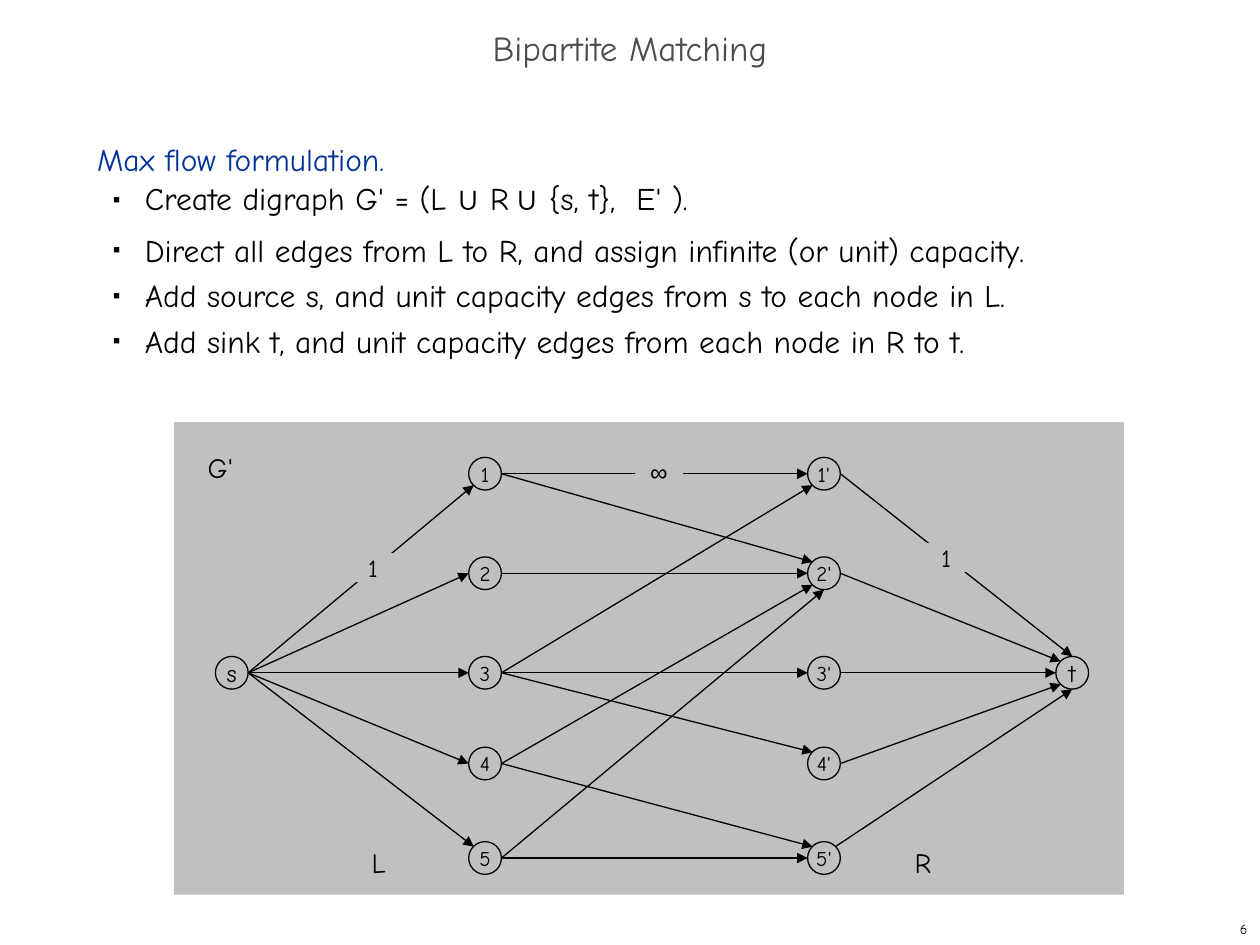
from lxml import etree
from pptx import Presentation
from pptx.dml.color import RGBColor
from pptx.enum.shapes import MSO_CONNECTOR, MSO_SHAPE
from pptx.enum.text import MSO_ANCHOR, MSO_AUTO_SIZE, PP_ALIGN
from pptx.oxml.ns import qn
from pptx.util import Inches, Pt

CENTER, LEFT, RIGHT = PP_ALIGN.CENTER, PP_ALIGN.LEFT, PP_ALIGN.RIGHT
TOP, MIDDLE = MSO_ANCHOR.TOP, MSO_ANCHOR.MIDDLE
NO_AUTOFIT = MSO_AUTO_SIZE.NONE
OVAL, RECTANGLE = MSO_SHAPE.OVAL, MSO_SHAPE.RECTANGLE
STRAIGHT = MSO_CONNECTOR.STRAIGHT

THEME = {
    "font": "Comic Neue", "symbol_font": "Arial",
    "title": "4D4D4D", "heading": "003399", "ink": "000000", "panel": "C0C0C0",
    "title_size": 20, "body_size": 18, "subscript_size": 20, "side_size": 16,
    "terminal_size": 14, "node_size": 12, "number_size": 8, "line_width": 0.75,
}

TITLE = "Bipartite Matching"
HEADING = "Max flow formulation."
# Each bullet is a list of (text, style) runs.
BULLETS = [
    [("Create digraph G' = (L ", "plain"), ("∪", "symbol"), (" R", "plain"),
     (" ", "subscript"), ("∪", "symbol"), (" {s, t},  E' ).", "plain")],
    [("Direct all edges from L to R, and assign infinite (or unit) capacity.", "plain")],
    [("Add source s, and unit capacity edges from s to each node in L.", "plain")],
    [("Add sink t, and unit capacity edges from each node in R to t.", "plain")],
]
PAGE_NUMBER = "6"

PANEL = (1.38, 3.35, 7.54, 3.75)
ROWS = [3.76, 4.55, 5.34, 6.06, 6.81]
SOURCE_X, LEFT_X, RIGHT_X, SINK_X = 1.84, 3.85, 6.54, 8.51
RADIUS, DIAGONAL = 0.13, 0.09

NODES = {"s": (SOURCE_X, ROWS[2]), "t": (SINK_X, ROWS[2])}
for row, row_y in enumerate(ROWS, start=1):
    NODES[f"{row}"] = (LEFT_X, row_y)
    NODES[f"{row}'"] = (RIGHT_X, row_y)

# Places on a node's rim, as offsets from its centre.
RIM = {
    "left": (-RADIUS, 0), "right": (RADIUS, 0),
    "top": (0, -RADIUS), "bottom": (0, RADIUS),
    "top left": (-DIAGONAL, -DIAGONAL), "bottom left": (-DIAGONAL, DIAGONAL),
    "top right": (DIAGONAL, -DIAGONAL),
}
# Tail node, head node, rim place at the head, rim place at the tail.
EDGES = [
    ("s", "1", "bottom left", "right"), ("s", "2", "left", "right"),
    ("s", "3", "left", "right"), ("s", "4", "left", "right"),
    ("s", "5", "top left", "right"),
    ("1", "1'", "left", "right"), ("1", "2'", "top left", "right"),
    ("2", "2'", "left", "right"),
    ("3", "1'", "bottom left", "right"), ("3", "3'", "left", "right"),
    ("3", "4'", "top left", "right"),
    ("4", "2'", "bottom left", "right"), ("4", "5'", "top left", "right"),
    ("5", "2'", "bottom", "right"), ("5", "5'", "left", "right"),
    ("1'", "t", "top", "right"), ("2'", "t", "top left", "right"),
    ("3'", "t", "left", "right"), ("4'", "t", "bottom left", "right"),
    ("5'", "t", "bottom", "top right"),
]
CAPACITIES = [("1", 2.77, 4.39, "font"), ("1", 7.32, 4.31, "font"),
              ("∞", 5.04, 3.63, "symbol_font")]
SIDE_LABELS = [("R", 7.16, 6.66), ("L", 2.85, 6.66), ("G'", 1.55, 3.53)]


def color(name):
    return RGBColor.from_string(THEME[name])


def add_run(para, text, size, ink="ink", font="font"):
    span = para.add_run()
    span.text = text
    span.font.size = Pt(THEME[size])
    span.font.name = THEME[font]
    span.font.color.rgb = color(ink)
    return span


def set_frame(box, anchor=TOP, wrap=True, inset=(0.1, 0.05)):
    frame = box.text_frame
    frame.auto_size = NO_AUTOFIT
    frame.word_wrap = wrap
    frame.vertical_anchor = anchor
    frame.margin_left = frame.margin_right = Inches(inset[0])
    frame.margin_top = frame.margin_bottom = Inches(inset[1])
    return frame


def place(box, left, top, width, height):
    box.left, box.top = Inches(left), Inches(top)
    box.width, box.height = Inches(width), Inches(height)


def add_panel_shape(page, kind, bounds, outlined=False):
    shape = page.shapes.add_shape(kind, *map(Inches, bounds))
    shape.shadow.inherit = False
    shape.fill.solid()
    shape.fill.fore_color.rgb = color("panel")
    if outlined:
        shape.line.color.rgb = color("ink")
        shape.line.width = Pt(THEME["line_width"])
    else:
        shape.line.fill.background()
    return shape


def set_bullet(para):
    properties = para._p.get_or_add_pPr()
    properties.set("marL", str(Inches(0.38)))
    properties.set("indent", str(Inches(-0.25)))
    bullet_color = etree.SubElement(properties, qn("a:buClr"))
    etree.SubElement(bullet_color, qn("a:srgbClr"), val=THEME["ink"])
    etree.SubElement(properties, qn("a:buSzPct"), val="35000")
    etree.SubElement(properties, qn("a:buFont"), typeface=THEME["symbol_font"])
    etree.SubElement(properties, qn("a:buChar"), char="■")


def add_title(page):
    box = page.shapes.title
    place(box, 0, 0.17, 10, 0.5)
    para = set_frame(box, MIDDLE).paragraphs[0]
    para.alignment = CENTER
    para.line_spacing = 0.7
    add_run(para, TITLE, "title_size", "title")


def add_body(page):
    box = page.placeholders[1]
    place(box, 0.67, 1, 8.58, 5.92)
    frame = set_frame(box)
    heading = frame.paragraphs[0]
    properties = heading._p.get_or_add_pPr()
    properties.set("marL", "0")
    properties.set("indent", "0")
    etree.SubElement(properties, qn("a:buNone"))
    add_run(heading, HEADING, "body_size", "heading")
    for bullet in BULLETS:
        para = frame.add_paragraph()
        para.level = 1
        set_bullet(para)
        for text, style in bullet:
            size = "subscript_size" if style == "subscript" else "body_size"
            font = "symbol_font" if style == "symbol" else "font"
            span = add_run(para, text, size, font=font)
            if style == "subscript":
                span._r.get_or_add_rPr().set("baseline", "-25000")
    for para in frame.paragraphs:
        para.line_spacing = Pt(26)
        para.space_before = Pt(0)


def add_node(page, name, x, y):
    bounds = (x - RADIUS, y - RADIUS, 2 * RADIUS, 2 * RADIUS)
    shape = add_panel_shape(page, OVAL, bounds, outlined=True)
    para = set_frame(shape, MIDDLE, wrap=False).paragraphs[0]
    para.alignment = CENTER
    add_run(para, name, "terminal_size" if name in "st" else "node_size")


def add_edge(page, tail, head, head_place, tail_place):
    ends = [Inches(center + offset)
            for node, rim_place in ((tail, tail_place), (head, head_place))
            for center, offset in zip(NODES[node], RIM[rim_place])]
    edge = page.shapes.add_connector(STRAIGHT, *ends)
    edge.line.color.rgb = color("ink")
    edge.line.width = Pt(THEME["line_width"])
    etree.SubElement(edge.line._get_or_add_ln(), qn("a:tailEnd"), type="triangle")
    etree.SubElement(edge._element.spPr, qn("a:effectLst"))


def add_label(page, text, bounds, size, align=LEFT, anchor=TOP):
    box = page.shapes.add_textbox(*map(Inches, bounds))
    para = set_frame(box, anchor).paragraphs[0]
    para.alignment = align
    add_run(para, text, size)


def main():
    deck = Presentation()
    deck.slide_width, deck.slide_height = Inches(10), Inches(7.5)
    page = deck.slides.add_slide(deck.slide_layouts[1])
    add_title(page)
    add_body(page)
    add_panel_shape(page, RECTANGLE, PANEL)
    for name, (x, y) in NODES.items():
        add_node(page, name, x, y)
    for edge in EDGES:
        add_edge(page, *edge)
    for text, left, top, font in CAPACITIES:
        shape = add_panel_shape(page, RECTANGLE, (left, top, 0.38, 0.23))
        para = set_frame(shape, inset=(0, 0)).paragraphs[0]
        para.alignment = CENTER
        add_run(para, text, "terminal_size", font=font)
    for text, left, top in SIDE_LABELS:
        add_label(page, text, (left, top, 0.61, 0.37), "side_size")
    add_label(page, PAGE_NUMBER, (7.92, 7.25, 2.08, 0.25), "number_size", RIGHT, MIDDLE)
    deck.save("out.pptx")


if __name__ == "__main__":
    main()
